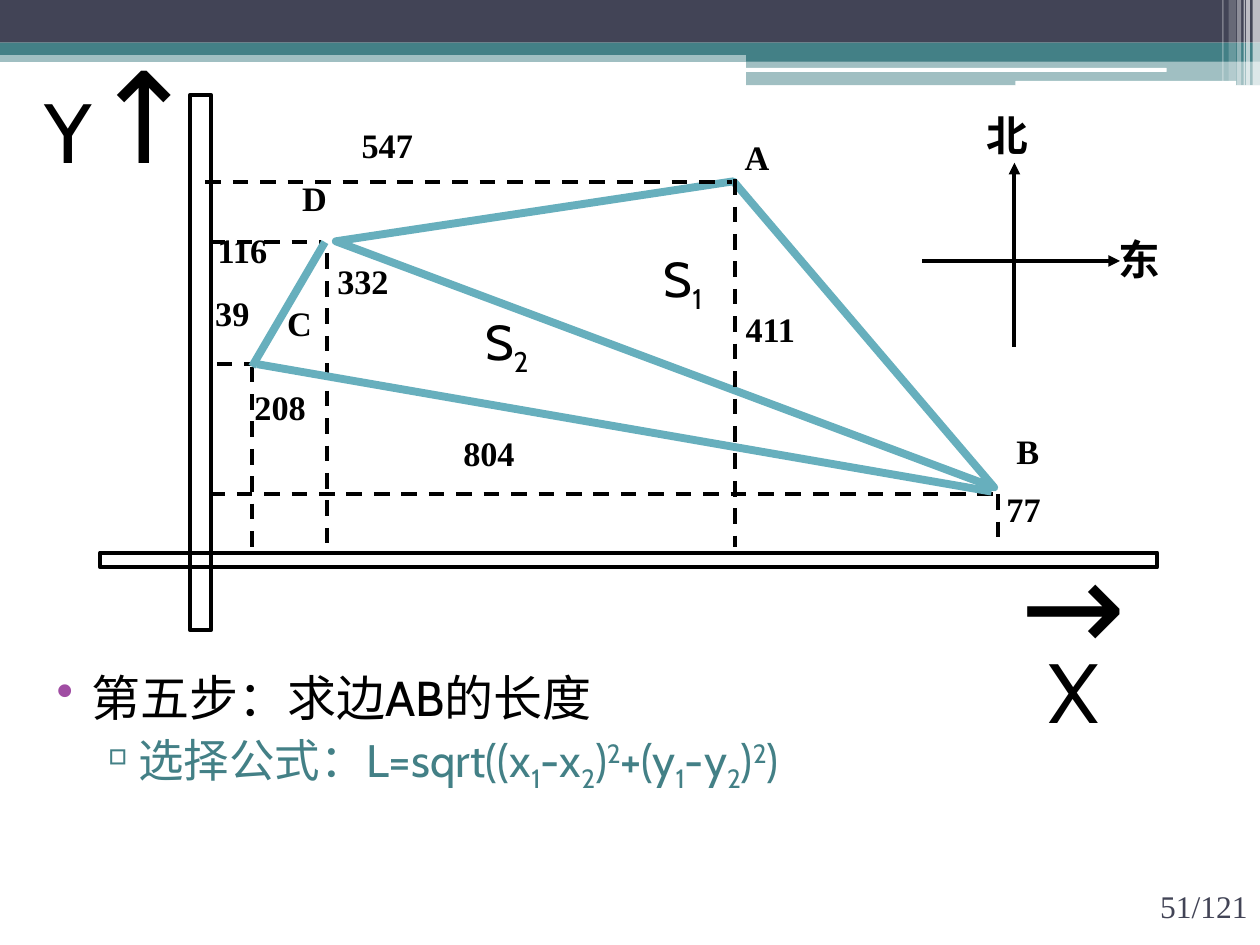
from typing import NamedTuple, Optional

from lxml import etree
from pptx import Presentation
from pptx.dml.color import RGBColor
from pptx.enum.dml import MSO_LINE
from pptx.enum.shapes import MSO_CONNECTOR, MSO_SHAPE
from pptx.enum.text import MSO_ANCHOR, PP_ALIGN
from pptx.oxml.ns import qn
from pptx.util import Cm, Pt

RECT, ROUNDED, TRIANGLE = MSO_SHAPE.RECTANGLE, MSO_SHAPE.ROUNDED_RECTANGLE, MSO_SHAPE.ISOSCELES_TRIANGLE
STRAIGHT, DASH = MSO_CONNECTOR.STRAIGHT, MSO_LINE.DASH
LEFT, CENTER, RIGHT, JUSTIFY = PP_ALIGN.LEFT, PP_ALIGN.CENTER, PP_ALIGN.RIGHT, PP_ALIGN.JUSTIFY

BLACK = RGBColor(0x00, 0x00, 0x00)
WHITE = RGBColor(0xFF, 0xFF, 0xFF)
SLATE = RGBColor(0x42, 0x44, 0x56)
TEAL = RGBColor(0x43, 0x80, 0x86)
AQUA = RGBColor(0x67, 0xAF, 0xBD)
PURPLE = RGBColor(0xA0, 0x4D, 0xA3)
SERIF, SANS = "Times New Roman", "Cabin"
SUB, SUPER = -25, 30


class Box(NamedTuple):
    """Position and size in centimetres."""
    left: float
    top: float
    width: float
    height: float


class Band(NamedTuple):
    box: Box
    color: RGBColor
    opacity: int = 100
    preset: MSO_SHAPE = RECT


class Stripe(NamedTuple):
    left: float
    width: float
    height: float
    opacity: int


class Segment(NamedTuple):
    """End points in centimetres."""
    x1: float
    y1: float
    x2: float
    y2: float


class Label(NamedTuple):
    text: str
    left: float
    top: float
    width: float


class Piece(NamedTuple):
    text: str
    baseline: int = 0
    size: Optional[float] = None


HEADER_BANDS = [
    Band(Box(0, 1.02, 25.4, 0.23), TEAL, 50),
    Band(Box(0, 0, 25.4, 0.86), SLATE),
    Band(Box(0, 0.86, 25.4, 0.25), TEAL),
    Band(Box(15.04, 0.99, 10.36, 0.25), TEAL),
    Band(Box(15.04, 1.22, 10.36, 0.5), TEAL, 50),
    Band(Box(15.01, 1.37, 8.51, 0.08), WHITE, preset=ROUNDED),
    Band(Box(20.47, 1.63, 4.45, 0.1), WHITE, preset=ROUNDED),
]
CORNER_STRIPES = [
    Stripe(25.25, 0.15, 1.73, 65), Stripe(25.12, 0.08, 1.73, 65),
    Stripe(25.07, 0.03, 1.73, 60), Stripe(24.94, 0.08, 1.73, 40),
    Stripe(24.77, 0.15, 1.63, 20), Stripe(24.64, 0.03, 1.63, 30),
]
AXES = [Box(2.02, 11.14, 21.31, 0.3), Box(3.84, 1.91, 0.41, 10.8)]
TRIANGLE_ABD = Box(7.01, 3.53, 14.17, 3.94)
PROJECTIONS = [
    Segment(5.08, 7.39, 5.08, 11.18), Segment(4.37, 7.34, 5.11, 7.34),    # C
    Segment(20.12, 9.96, 20.12, 11), Segment(4.22, 9.96, 20.12, 9.96),    # B
    Segment(14.81, 3.61, 14.81, 11.02), Segment(4.14, 3.66, 14.76, 3.66), # A
    Segment(6.6, 5.11, 6.6, 11.1), Segment(4.22, 4.88, 6.48, 4.88),       # D
]
SIDES = [Segment(6.55, 4.88, 5.08, 7.39), Segment(5.18, 7.34, 19.99, 9.91)]
COMPASS_ARROWS = [Segment(18.59, 5.26, 22.58, 5.26), Segment(20.45, 6.99, 20.45, 3.28)]
COMPASS_LABELS = [Label("北", 19.63, 2.21, 2.26), Label("东", 22.3, 4.7, 2.26)]
POINT_LABELS = [
    Label("A", 14.76, 2.79, 1.55), Label("B", 20.24, 8.71, 1.55),
    Label("C", 5.54, 6.12, 1.55), Label("D", 5.84, 3.61, 1.55),
    Label("547", 7.04, 2.54, 4.19), Label("411", 14.78, 6.25, 3.23),
    Label("804", 9.09, 8.74, 4.04), Label("77", 20.04, 9.88, 3.28),
    Label("116", 4.14, 4.65, 3.71), Label("332", 6.55, 5.28, 2.54),
    Label("39", 4.09, 5.92, 2.46), Label("208", 4.88, 7.82, 2.54),
]
AREAS = [("1", 13.13, 4.88), ("2", 9.53, 6.15)]
FORMULA = [
    Piece("选择公式：L=sqrt((x"), Piece("1", SUB), Piece("-x"), Piece("2", SUB),
    Piece(")"), Piece("2", SUPER), Piece("+(y"), Piece("1", SUB), Piece("-y"),
    Piece("2", SUB), Piece(")"), Piece("2", SUPER), Piece(")"),
]


def add_filled(slide, band: Band) -> None:
    shape = slide.shapes.add_shape(band.preset, *map(Cm, band.box))
    shape.shadow.inherit = False
    shape.fill.solid()
    shape.fill.fore_color.rgb = band.color
    shape.line.fill.background()
    if band.opacity < 100:
        color = shape._element.spPr.find(f".//{qn('a:srgbClr')}")
        etree.SubElement(color, qn("a:alpha"), val=str(band.opacity * 1000))


def add_outlined(slide, preset: MSO_SHAPE, box: Box, color: RGBColor, weight: float):
    shape = slide.shapes.add_shape(preset, *map(Cm, box))
    shape.shadow.inherit = False
    shape.fill.background()
    shape.line.color.rgb = color
    shape.line.width = Pt(weight)
    return shape


def add_line(slide, segment: Segment, color: RGBColor = BLACK, weight: float = 2.25,
             dashed: bool = False, arrow: bool = False) -> None:
    connector = slide.shapes.add_connector(STRAIGHT, *map(Cm, segment))
    etree.SubElement(connector._element.spPr, qn("a:effectLst"))
    connector.line.color.rgb = color
    connector.line.width = Pt(weight)
    if dashed:
        connector.line.dash_style = DASH
    if arrow:
        etree.SubElement(connector.line._get_or_add_ln(), qn("a:tailEnd"), type="triangle")


def add_frame(slide, box: Box):
    frame = slide.shapes.add_textbox(*map(Cm, box)).text_frame
    frame.word_wrap = True
    return frame


def write(paragraph, pieces: list[Piece], size: float, font: str = SANS,
          color: RGBColor = BLACK, bold: bool = False, align: PP_ALIGN = LEFT,
          spacing: float = 1.0) -> None:
    paragraph.alignment = align
    paragraph.line_spacing = spacing
    paragraph.font.name = font
    paragraph.font.size = Pt(size)
    paragraph.font.bold = bold
    paragraph.font.color.rgb = color
    for piece in pieces:
        run = paragraph.add_run()
        run.text = piece.text
        if piece.size:
            run.font.size = Pt(piece.size)
        if piece.baseline:
            run._r.get_or_add_rPr().set("baseline", str(piece.baseline * 1000))


def set_bullet(paragraph, char: str, color: RGBColor, left: float, hanging: float) -> None:
    properties = paragraph._p.get_or_add_pPr()
    properties.set("marL", str(Cm(left)))
    properties.set("indent", str(-Cm(hanging)))
    bullet_color = etree.SubElement(properties, qn("a:buClr"))
    etree.SubElement(bullet_color, qn("a:srgbClr"), val=str(color))
    etree.SubElement(properties, qn("a:buChar"), char=char)


def add_label(slide, label: Label, height: float, size: float, spacing: float) -> None:
    frame = add_frame(slide, Box(label.left, label.top, label.width, height))
    write(frame.paragraphs[0], [Piece(label.text)], size, SERIF, bold=True,
          align=JUSTIFY, spacing=spacing)


def draw_header(slide) -> None:
    for band in HEADER_BANDS:
        add_filled(slide, band)
    for stripe in CORNER_STRIPES:
        add_filled(slide, Band(Box(stripe.left, 0, stripe.width, stripe.height), WHITE, stripe.opacity))


def draw_diagram(slide) -> None:
    triangle = add_outlined(slide, TRIANGLE, TRIANGLE_ABD, AQUA, 4.5)
    triangle.rotation = 20.5
    for axis in AXES:
        add_outlined(slide, RECT, axis, BLACK, 2.25)
    for projection in PROJECTIONS:
        add_line(slide, projection, dashed=True)
    for side in SIDES:
        add_line(slide, side, AQUA, 4.5)
    for label in POINT_LABELS:
        add_label(slide, label, 1.17, 19.6, 0.8)
    for arrow in COMPASS_ARROWS:
        add_line(slide, arrow, arrow=True)
    for label in COMPASS_LABELS:
        add_label(slide, label, 1.27, 23.8, 0.9)
    for index, left, top in AREAS:
        area = add_frame(slide, Box(left, top, 2.34, 1.6))
        write(area.paragraphs[0], [Piece("S"), Piece(index, SUB)], 28)

    y_name = add_frame(slide, Box(0.64, 0.64, 4.65, 3.3))
    write(y_name.paragraphs[0], [Piece("Y"), Piece("↑", size=72)], 48)
    x_name = add_frame(slide, Box(20.32, 11.79, 2.64, 3.2))
    write(x_name.paragraphs[0], [Piece("→")], 72, align=CENTER, spacing=0.5)
    write(x_name.add_paragraph(), [Piece("X")], 48, align=CENTER, spacing=0.7)


def draw_text(slide) -> None:
    steps = add_frame(slide, Box(0.58, 13.34, 24, 4.14))
    step = steps.paragraphs[0]
    set_bullet(step, "•", PURPLE, 1.02, 0.71)
    write(step, [Piece("第五步：求边AB的长度")], 28)
    formula = steps.add_paragraph()
    formula.level = 1
    formula.space_before = Pt(3)
    set_bullet(formula, "▫", TEAL, 1.83, 0.69)
    write(formula, FORMULA, 26, color=TEAL)

    page = add_frame(slide, Box(22.63, 17.48, 2.77, 1.57))
    page.vertical_anchor = MSO_ANCHOR.MIDDLE
    write(page.paragraphs[0], [Piece("51/121")], 18, SERIF, SLATE, align=RIGHT)


def main() -> None:
    presentation = Presentation()
    presentation.slide_width, presentation.slide_height = Cm(25.4), Cm(19.05)
    slide = presentation.slides.add_slide(presentation.slide_layouts[6])
    draw_header(slide)
    draw_diagram(slide)
    draw_text(slide)
    presentation.save("out.pptx")


if __name__ == "__main__":
    main()
